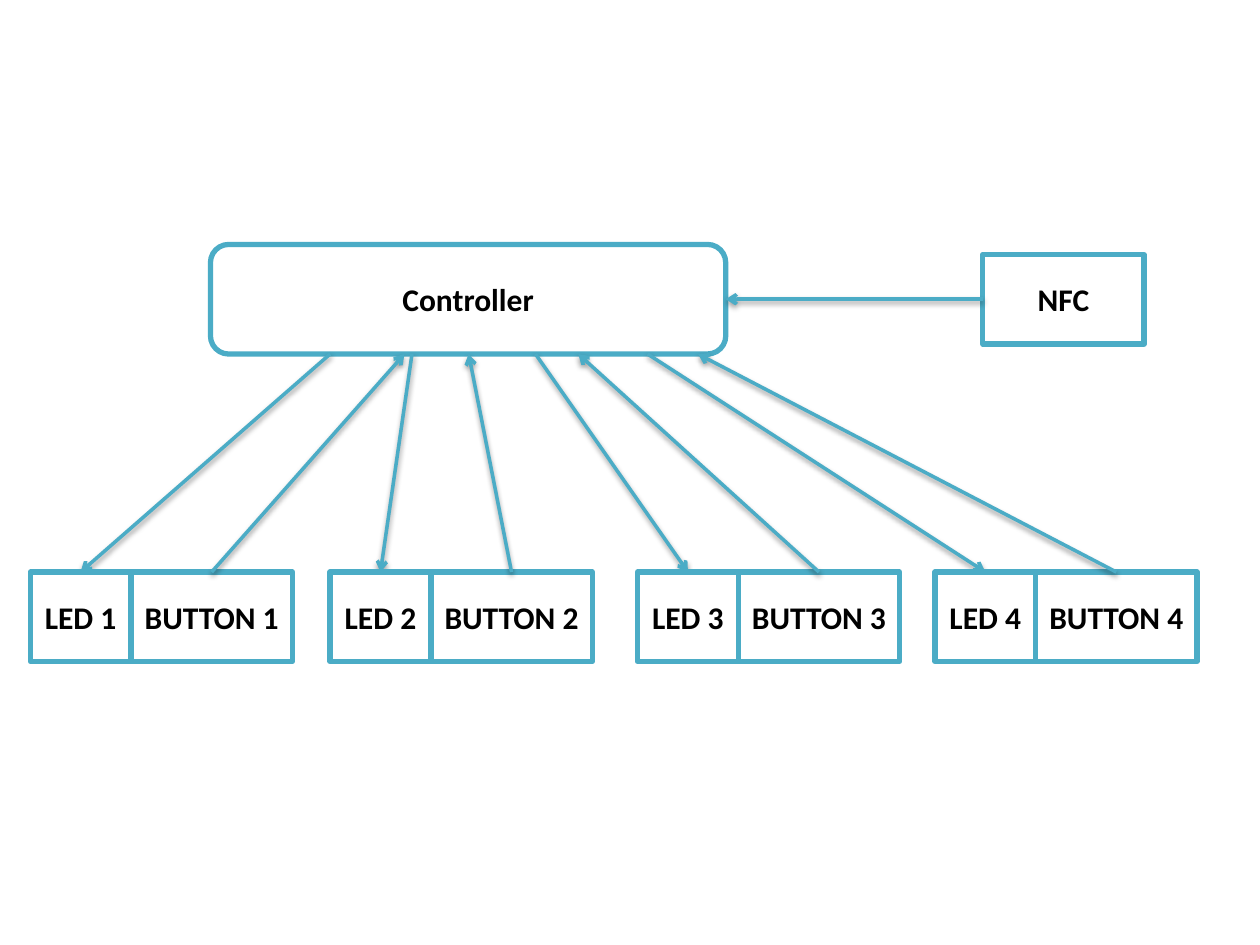
import pptx
import pptx.util
import pptx.dml.color
import pptx.enum.shapes
import pptx.enum.text
import pptx.oxml
import pptx.oxml.ns
from pptx.util import Inches

COLORS = {"accent": "4BACC6", "box": "FFFFFF", "text": "000000"}
SHAPES = pptx.enum.shapes.MSO_SHAPE
TOP, LEFT, RIGHT = 0, 1, 3  # connection sites of a rectangle


def color(name):
    return pptx.dml.color.RGBColor.from_string(COLORS[name])


class Diagram:
    font_name = "Calibri"
    font_size = pptx.util.Pt(18)
    box_line = pptx.util.Pt(3)
    arrow_line = pptx.util.Pt(2)

    def __init__(self, slide):
        self.slide = slide

    def box(self, text, left, top, width, height, kind=SHAPES.RECTANGLE):
        shape = self.slide.shapes.add_shape(
            kind, Inches(left), Inches(top), Inches(width), Inches(height))
        shape.shadow.inherit = False
        shape.fill.solid()
        shape.fill.fore_color.rgb = color("box")
        shape.line.color.rgb = color("accent")
        shape.line.width = self.box_line
        frame = shape.text_frame
        frame.word_wrap = False
        frame.vertical_anchor = pptx.enum.text.MSO_ANCHOR.MIDDLE
        paragraph = frame.paragraphs[0]
        paragraph.text = text
        paragraph.alignment = pptx.enum.text.PP_ALIGN.CENTER
        paragraph.font.name = self.font_name
        paragraph.font.size = self.font_size
        paragraph.font.bold = True
        paragraph.font.color.rgb = color("text")
        return shape

    def arrow(self, start, end):
        connector = self.slide.shapes.add_connector(
            pptx.enum.shapes.MSO_CONNECTOR.STRAIGHT,
            *(Inches(value) for value in (*start, *end)))
        connector.line.color.rgb = color("accent")
        connector.line.width = self.arrow_line
        # Open arrowhead and soft shadow
        namespace = pptx.oxml.ns.nsdecls("a")
        connector.line._get_or_add_ln().append(
            pptx.oxml.parse_xml(f'<a:tailEnd {namespace} type="arrow"/>'))
        connector._element.spPr.append(pptx.oxml.parse_xml(
            f'<a:effectLst {namespace}>'
            '<a:outerShdw blurRad="40000" dist="20000" dir="5400000" rotWithShape="0">'
            f'<a:srgbClr val="{COLORS["text"]}"><a:alpha val="38000"/></a:srgbClr>'
            '</a:outerShdw></a:effectLst>'))
        return connector


def main():
    presentation = pptx.Presentation()
    presentation.slide_width = Inches(10)
    presentation.slide_height = Inches(7.5)
    slide = presentation.slides.add_slide(presentation.slide_layouts[6])
    diagram = Diagram(slide)

    # Controller
    controller_bottom = 2.81
    controller = diagram.box("Controller", 1.67, 1.94, 4.09, 0.87,
                             SHAPES.ROUNDED_RECTANGLE)

    # LED and button pairs: left edge, then arrow ends on the controller
    row_top, box_height = 4.54, 0.71
    led_width, button_width = 0.8, 1.28
    pairs = [(0.24, 2.62, 3.21), (2.62, 3.27, 3.72),
             (5.06, 4.25, 4.59), (7.42, 5.14, 5.54)]
    for number, (left, led_x, button_x) in enumerate(pairs, start=1):
        led_arrow = diagram.arrow((led_x, controller_bottom),
                                  (left + led_width / 2, row_top))
        led = diagram.box(f"LED {number}", left, row_top, led_width, box_height)
        led_arrow.end_connect(led, TOP)

        button_left = left + led_width
        button = diagram.box(f"BUTTON {number}", button_left, row_top,
                             button_width, box_height)
        button_arrow = diagram.arrow((button_left + button_width / 2, row_top),
                                     (button_x, controller_bottom))
        button_arrow.begin_connect(button, TOP)

    # NFC reader
    nfc = diagram.box("NFC", 7.8, 2.02, button_width, box_height)
    nfc_arrow = diagram.arrow((7.8, 2.37), (5.76, 2.37))
    nfc_arrow.begin_connect(nfc, LEFT)
    nfc_arrow.end_connect(controller, RIGHT)

    presentation.save("out.pptx")


if __name__ == "__main__":
    main()
